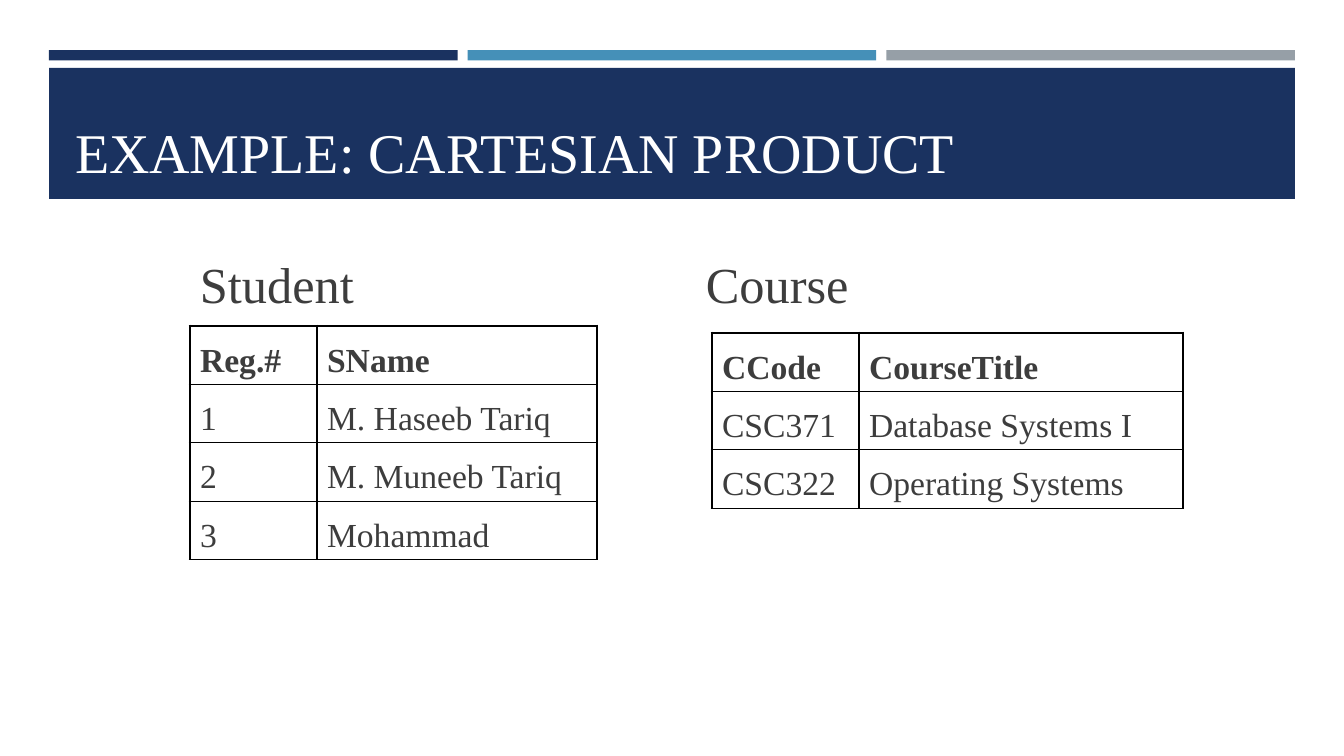
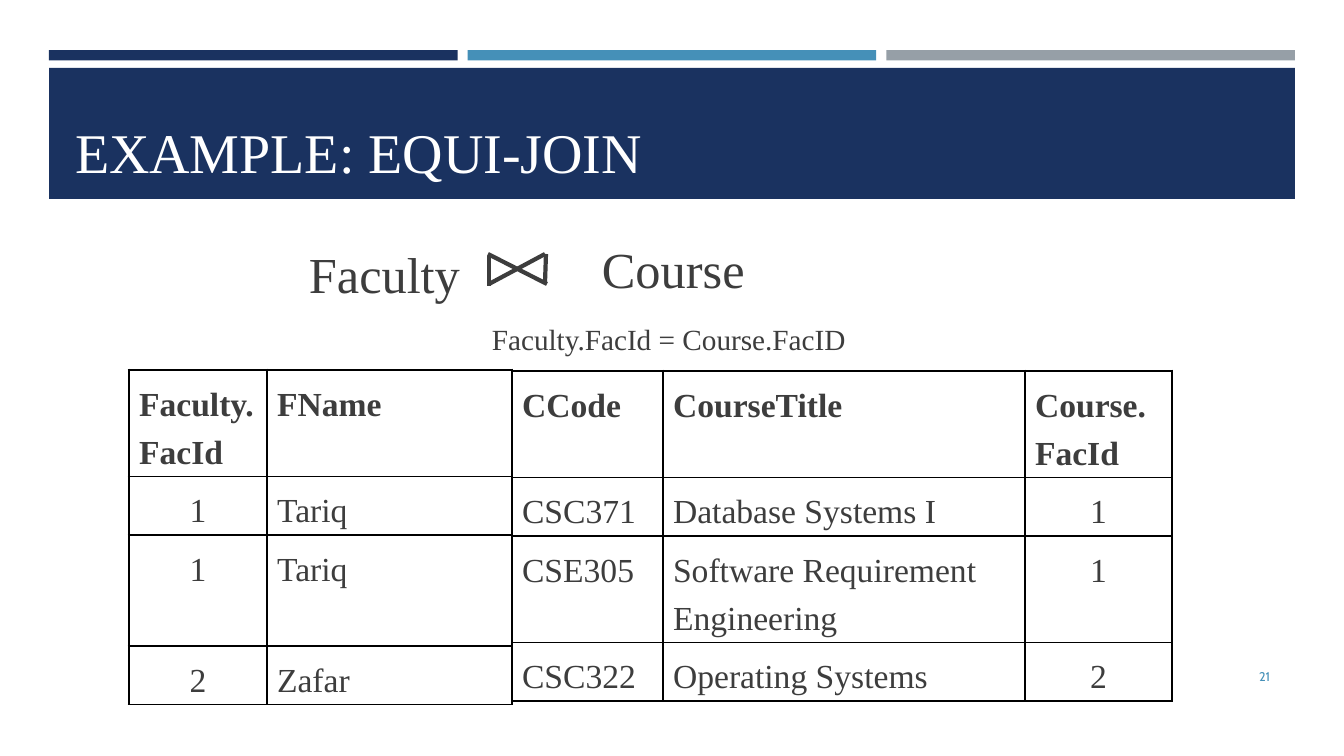
from lxml.etree import SubElement
from pptx import Presentation
from pptx.dml.color import RGBColor
from pptx.enum.shapes import MSO_CONNECTOR, MSO_SHAPE
from pptx.enum.text import MSO_ANCHOR, PP_ALIGN
from pptx.oxml.ns import qn
from pptx.util import Emu, Pt

EMU_PER_PX = 12192000 / 1344
COLORS = {
    "navy": "1A3260",
    "blue": "4590B8",
    "gray": "969FA7",
    "text": "3D3D3D",
    "white": "FFFFFF",
    "black": "000000",
}
SERIF = "Times New Roman"
BAND_LEFT, BAND_WIDTH, BAND_GAP = 49, 1246, 10
STRIPES = ["navy", "blue", "gray"]
ROW_HEIGHT = 57

SLIDES = [
    {
        "title": "EXAMPLE: CARTESIAN PRODUCT",
        "tables": [
            {
                "at": (712, 333),
                "columns": [147, 324],
                "rows": [
                    ("CCode", "CourseTitle"),
                    ("CSC371", "Database Systems I"),
                    ("CSC322", "Operating Systems"),
                ],
            },
            {
                "at": (190, 326),
                "columns": [127, 280],
                "rows": [
                    ("Reg.#", "SName"),
                    ("1", "M. Haseeb Tariq"),
                    ("2", "M. Muneeb Tariq"),
                    ("3", "Mohammad"),
                ],
            },
        ],
        "labels": [
            ("Student", (190, 242, 229, 72)),
            ("Course", (696, 242, 229, 72)),
        ],
    },
    {
        "title": "EXAMPLE: EQUI-JOIN",
        "tables": [
            {
                "at": (512, 371),
                "columns": [151, 362, 147],
                "centered": 2,
                "rows": [
                    ("CCode", "CourseTitle", "Course.FacId"),
                    ("CSC371", "Database Systems I", "1"),
                    ("CSE305", "Software Requirement Engineering", "1"),
                    ("CSC322", "Operating Systems", "2"),
                ],
            },
            {
                "at": (129, 370),
                "columns": [138, 245],
                "centered": 0,
                "heights": {2: 111},
                "rows": [
                    ("Faculty.FacId", "FName"),
                    ("1", "Tariq"),
                    ("1", "Tariq"),
                    ("2", "Zafar"),
                ],
            },
        ],
        "join_lines": [
            (488, 254, 547, 284),
            (489, 284, 545, 254),
            (489, 256, 489, 286),
            (546, 254, 545, 283),
        ],
        "labels": [
            ("Faculty", (299, 232, 174, 72)),
            ("Course", (592, 227, 164, 72)),
        ],
        "condition": ("Faculty.FacId = Course.FacID", (482, 276, 646, 51)),
        "number": ("21", (1164, 656, 116, 40)),
    },
]


def px(*lengths):
    return [Emu(round(length * EMU_PER_PX)) for length in lengths]


def color(name):
    return RGBColor.from_string(COLORS[name])


def style(paragraph, size, color_name="text", font=SERIF, bold=False):
    paragraph.font.size = Pt(size)
    paragraph.font.name = font
    paragraph.font.bold = bold
    paragraph.font.color.rgb = color(color_name)


def add_layout_band(page, layout, frame, color_name):
    band = page.shapes.add_shape(MSO_SHAPE.RECTANGLE, *px(*frame))
    band.shadow.inherit = False
    band.fill.solid()
    band.fill.fore_color.rgb = color(color_name)
    band.line.fill.background()
    layout.shapes.element.insert(2, band.element)


def build_layout(layout, page):
    width = (BAND_WIDTH - BAND_GAP * (len(STRIPES) - 1)) / len(STRIPES)
    for index, name in enumerate(STRIPES):
        left = BAND_LEFT + index * (width + BAND_GAP)
        add_layout_band(page, layout, (left, 50, width, 10.5), name)
    add_layout_band(page, layout, (BAND_LEFT, 68, BAND_WIDTH, 131), "navy")
    title = layout.placeholders[0]
    title.left, title.top, title.width, title.height = px(65, 78, 1216, 112)
    title.text_frame.vertical_anchor = MSO_ANCHOR.BOTTOM


def add_title(page, text):
    page.shapes.title.text_frame.text = text
    paragraph = page.shapes.title.text_frame.paragraphs[0]
    paragraph.alignment = PP_ALIGN.LEFT
    style(paragraph, 40, "white")


def add_label(page, text, frame, size=36, **options):
    box = page.shapes.add_textbox(*px(*frame))
    box.text_frame.word_wrap = True
    paragraph = box.text_frame.paragraphs[0]
    paragraph.line_spacing = 1.1
    span = paragraph.add_run()
    span.text = text
    style(paragraph, size, **options)
    return box, paragraph, span


def set_borders(cell, heavy_sides):
    properties = cell._tc.get_or_add_tcPr()
    for side in "LRTB":
        width = Pt(2.25 if side in heavy_sides else 1)
        line = SubElement(properties, qn(f"a:ln{side}"), w=str(width))
        fill = SubElement(line, qn("a:solidFill"))
        SubElement(fill, qn("a:srgbClr"), val=COLORS["black"])


def add_table(page, data):
    rows, columns = data["rows"], data["columns"]
    heights = [data.get("heights", {}).get(i, ROW_HEIGHT) for i in range(len(rows))]
    frame = (*data["at"], sum(columns), sum(heights))
    table = page.shapes.add_table(len(rows), len(columns), *px(*frame)).table
    table.horz_banding = False
    for column, width in zip(table.columns, px(*columns)):
        column.width = width
    for row, height in zip(table.rows, px(*heights)):
        row.height = height
    for i, texts in enumerate(rows):
        for j, text in enumerate(texts):
            cell = table.cell(i, j)
            edges = {"L": j == 0, "R": j == len(columns) - 1, "T": i == 0}
            set_borders(cell, [side for side, outer in edges.items() if outer])
            cell.fill.solid()
            cell.fill.fore_color.rgb = color("white")
            cell.text = text
            paragraph = cell.text_frame.paragraphs[0]
            paragraph.line_spacing = 1.3
            if i > 0 and j == data.get("centered"):
                paragraph.alignment = PP_ALIGN.CENTER
            style(paragraph, 24, bold=i == 0)


def add_join_line(page, ends):
    line = page.shapes.add_connector(MSO_CONNECTOR.STRAIGHT, *px(*ends))
    line.line.color.rgb = color("text")
    line.line.width = Pt(3)
    SubElement(line.element.spPr, qn("a:effectLst"))


def add_condition(page, text, frame):
    span = add_label(page, text, frame)[2]
    span._r.get_or_add_rPr().set("baseline", "-25000")


def add_number(page, text, frame):
    box, paragraph, _ = add_label(page, text, frame, 9, color_name="blue", font="Cabin")
    box.text_frame.vertical_anchor = MSO_ANCHOR.MIDDLE
    paragraph.alignment = PP_ALIGN.RIGHT


def main():
    deck = Presentation()
    deck.slide_width, deck.slide_height = px(1344, 756)
    layout = deck.slide_layouts[5]
    for index, content in enumerate(SLIDES):
        page = deck.slides.add_slide(layout)
        if index == 0:
            build_layout(layout, page)
        add_title(page, content["title"])
        for data in content["tables"]:
            add_table(page, data)
        for ends in content.get("join_lines", []):
            add_join_line(page, ends)
        for text, frame in content["labels"]:
            add_label(page, text, frame)
        if "condition" in content:
            add_condition(page, *content["condition"])
        if "number" in content:
            add_number(page, *content["number"])
    deck.save("out.pptx")


if __name__ == "__main__":
    main()
